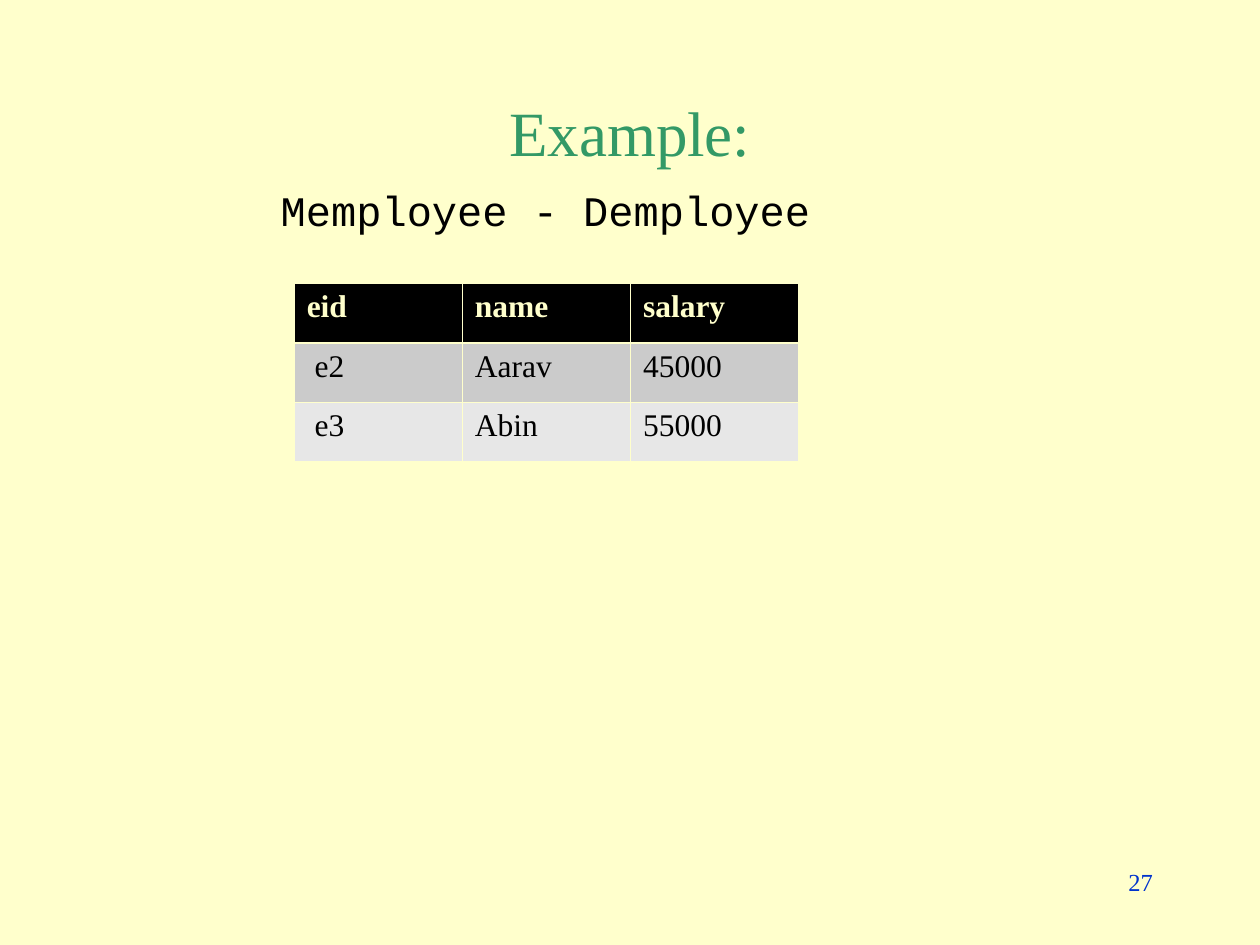
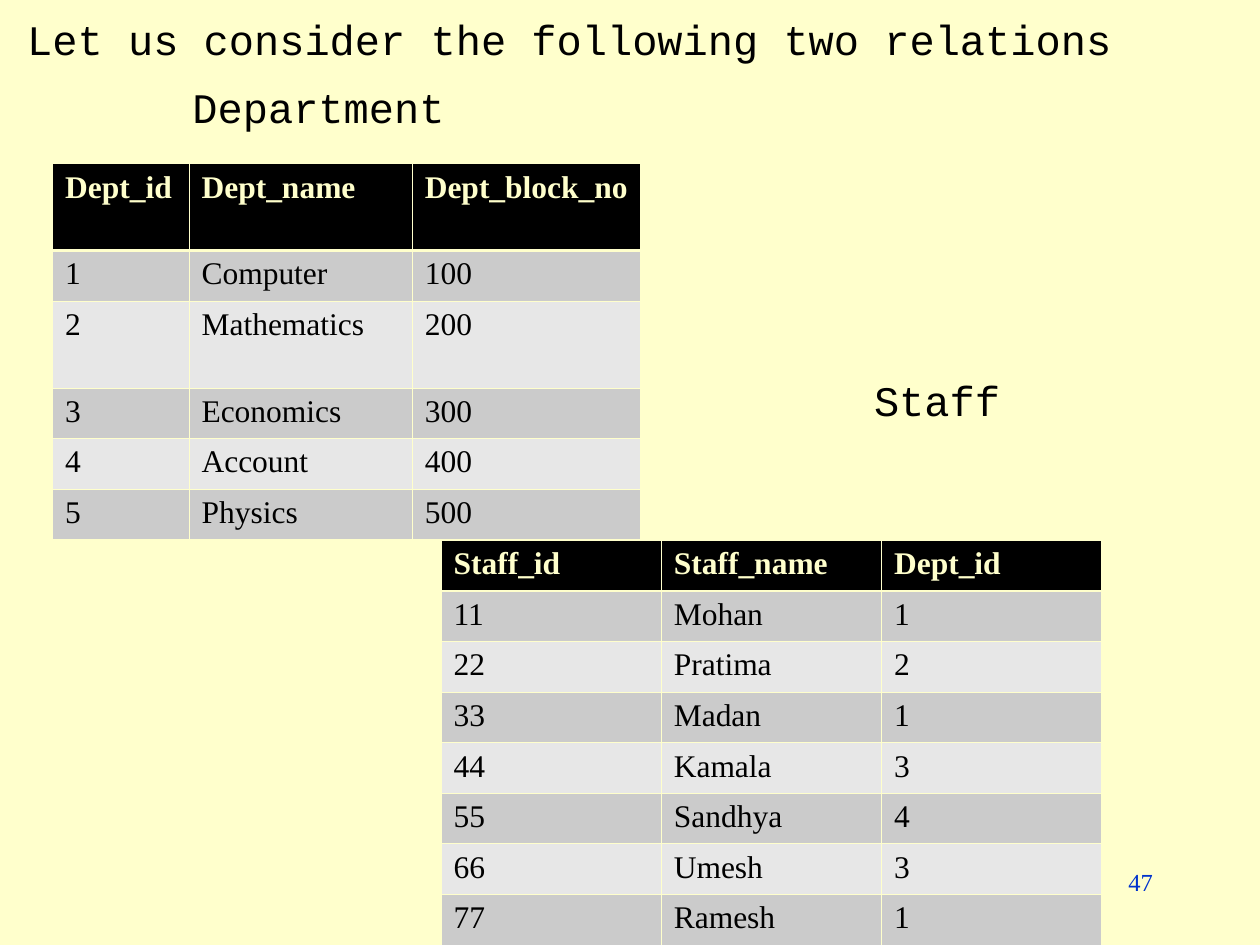
from dataclasses import dataclass

from lxml import etree
from pptx import Presentation
from pptx import util as u
from pptx.dml.color import RGBColor
from pptx.enum import text
from pptx.oxml.ns import qn

CREAM, BLACK, GREEN, BLUE = "FFFFCC", "000000", "339966", "0033CC"
BANDS = ("CBCBCB", "E7E7E7")
SERIF, MONO = "Times New Roman", "Courier New"
THIN, THICK = 0.45, 1.47
LEFT, CENTER, RIGHT = text.PP_ALIGN.LEFT, text.PP_ALIGN.CENTER, text.PP_ALIGN.RIGHT


@dataclass(frozen=True)
class Label:
    words: str
    left: float
    top: float
    width: float
    height: float = 1.27
    size: float = 24
    font: str = MONO
    color: str = BLACK
    align: text.PP_ALIGN = LEFT
    wrap: bool = False


@dataclass(frozen=True)
class Relation:
    """A database relation: its first row holds the attribute names."""
    left: float
    top: float
    widths: tuple[float, ...]
    heights: tuple[float, ...]
    rows: tuple[tuple[str, ...], ...]


def rgb(hex_color: str) -> RGBColor:
    return RGBColor.from_string(hex_color)


def style_paragraph(p, font: str, size: float, color: str, bold: bool = False) -> None:
    p.font.name, p.font.size, p.font.bold = font, u.Pt(size), bold
    p.font.color.rgb = rgb(color)


def add_label(s, label: Label) -> None:
    box = s.shapes.add_textbox(u.Cm(label.left), u.Cm(label.top),
                               u.Cm(label.width), u.Cm(label.height))
    tf = box.text_frame
    tf.word_wrap = label.wrap
    if not label.wrap:
        tf.auto_size = text.MSO_AUTO_SIZE.SHAPE_TO_FIT_TEXT
    p = tf.paragraphs[0]
    p.text, p.alignment = label.words, label.align
    style_paragraph(p, label.font, label.size, label.color)


def add_title(s, words: str) -> None:
    add_label(s, Label(words, 1.9, 1.76, 21.6, 1.9, 36, SERIF, GREEN, CENTER, True))


def add_slide_number(s, number: int) -> None:
    add_label(s, Label(str(number), 18.2, 17.36, 5.29, 1.27, 14, SERIF, BLUE, RIGHT, True))


def set_borders(cell, top: float, bottom: float) -> None:
    tc_pr = cell._tc.get_or_add_tcPr()
    for side, width in (("L", THIN), ("R", THIN), ("T", top), ("B", bottom)):
        line = etree.SubElement(tc_pr, qn(f"a:ln{side}"), w=str(u.Pt(width)))
        fill = etree.SubElement(line, qn("a:solidFill"))
        etree.SubElement(fill, qn("a:srgbClr"), val=CREAM)


def add_relation(s, relation: Relation) -> None:
    frame = s.shapes.add_table(
        len(relation.rows), len(relation.widths), u.Cm(relation.left), u.Cm(relation.top),
        u.Cm(sum(relation.widths)), u.Cm(sum(relation.heights)))
    table = frame.table
    table.horz_banding = False
    for column, width in zip(table.columns, relation.widths):
        column.width = u.Cm(width)
    for i, (row, height, values) in enumerate(
            zip(table.rows, relation.heights, relation.rows)):
        row.height = u.Cm(height)
        header = i == 0
        for cell, value in zip(row.cells, values):
            set_borders(cell, THICK if i == 1 else THIN, THICK if header else THIN)
            cell.margin_right = u.Cm(0.1)
            cell.fill.solid()
            cell.fill.fore_color.rgb = rgb(BLACK if header else BANDS[(i - 1) % 2])
            p = cell.text_frame.paragraphs[0]
            p.text = value
            style_paragraph(p, SERIF, 18, CREAM if header else BLACK, header)


def add_slide(prs, number: int):
    s = prs.slides.add_slide(prs.slide_layouts[6])
    s.background.fill.solid()
    s.background.fill.fore_color.rgb = rgb(CREAM)
    add_slide_number(s, number)
    return s


DIFFERENCE = Relation(5.93, 5.71, (3.39,) * 3, (1.2,) * 3, (
    ("eid", "name", "salary"),
    (" e2", "Aarav", "45000"),
    (" e3", "Abin", "55000"),
))
DEPARTMENT = Relation(1.06, 3.3, (2.75, 4.5, 4.6), (1.75, 1.02, 1.75, 1.02, 1.02, 1.02), (
    ("Dept_id", "Dept_name", "Dept_block_no"),
    ("1", "Computer", "100"),
    ("2", "Mathematics", "200"),
    ("3", "Economics", "300"),
    ("4", "Account", "400"),
    ("5", "Physics", "500"),
))
STAFF = Relation(8.89, 10.89, (4.44,) * 3, (1.02,) * 8, (
    ("Staff_id", "Staff_name", "Dept_id"),
    ("11", "Mohan", "1"),
    ("22", "Pratima", "2"),
    ("33", "Madan", "1"),
    ("44", "Kamala", "3"),
    ("55", "Sandhya", "4"),
    ("66", "Umesh", "3"),
    ("77", "Ramesh", "1"),
))


def build_difference_slide(prs) -> None:
    s = add_slide(prs, 27)
    add_title(s, "Example:")
    add_relation(s, DIFFERENCE)
    add_label(s, Label("Memployee - Demployee", 5.41, 3.6, 11.18))


def build_relations_slide(prs) -> None:
    s = add_slide(prs, 47)
    add_relation(s, DEPARTMENT)
    add_relation(s, STAFF)
    for label in (
        Label("Department", 3.63, 1.52, 5.59),
        Label("Staff", 17.37, 7.42, 3.56),
        Label("Let us consider the following two relations", 0.3, 0.15, 22.35),
    ):
        add_label(s, label)


def main() -> None:
    prs = Presentation()
    prs.slide_width, prs.slide_height = u.Cm(25.4), u.Cm(19.05)
    build_difference_slide(prs)
    build_relations_slide(prs)
    prs.save("out.pptx")


if __name__ == "__main__":
    main()
